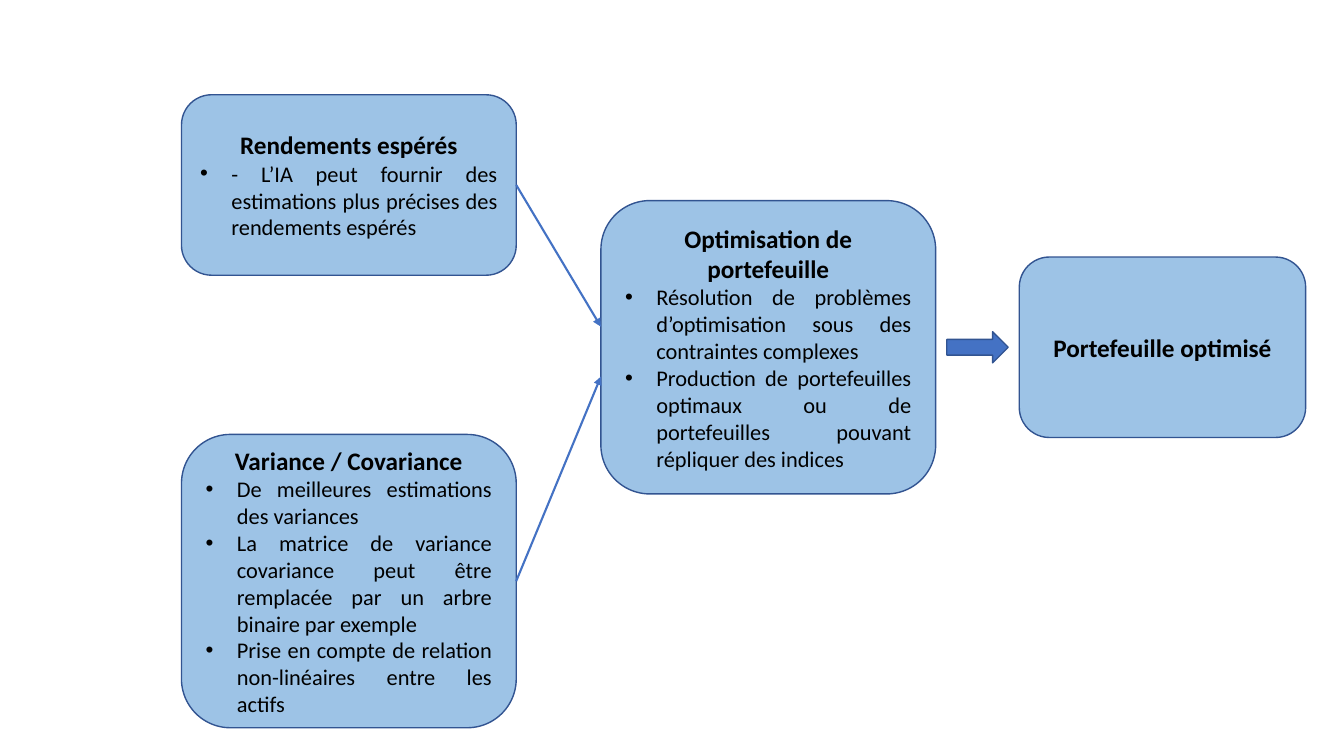
import pptx
import pptx.util
import pptx.dml.color
import pptx.enum.shapes
import pptx.enum.text
import pptx.oxml.ns
import lxml.etree

COLORS = {"box": "9DC3E6", "outline": "325491", "arrow": "4472C4", "text": "000000"}
FONT = "Calibri"
BULLET_INDENT = 0.31
WIDE, SHORT, TALL = 3.32, 1.79, 2.91
INPUT_LEFT = 1.8

RETURNS = (INPUT_LEFT, 0.94, WIDE, SHORT)
VARIANCE = (INPUT_LEFT, 4.31, WIDE, TALL)
OPTIMISATION = (5.96, 1.99, WIDE, TALL)
RESULT = (10.11, 2.55, 2.84, SHORT)

STEPS = [
    (RETURNS, "Rendements espérés", [
        "- L’IA peut fournir des estimations plus précises des rendements espérés"]),
    (VARIANCE, "Variance / Covariance", [
        "De meilleures estimations des variances",
        "La matrice de variance covariance peut être remplacée par un arbre binaire par exemple",
        "Prise en compte de relation non-linéaires entre les actifs"]),
    (RESULT, "Portefeuille optimisé", []),
    (OPTIMISATION, "Optimisation de portefeuille", [
        "Résolution de problèmes d’optimisation sous des contraintes complexes",
        "Production de portefeuilles optimaux ou de portefeuilles pouvant répliquer des indices"]),
]


def rgb(name):
    return pptx.dml.color.RGBColor.from_string(COLORS[name])


def inches(*lengths):
    return [pptx.util.Inches(v) for v in lengths]


def sub(parent, tag, **attrs):
    return lxml.etree.SubElement(parent, pptx.oxml.ns.qn(tag), **attrs)


def write(p, text, size, bold=False, bullet=False):
    align = pptx.enum.text.PP_ALIGN
    p.alignment = align.JUSTIFY if bullet else align.CENTER
    if bullet:
        pPr = p._p.get_or_add_pPr()
        indent = pptx.util.Inches(BULLET_INDENT)
        pPr.set("marL", str(indent))
        pPr.set("indent", str(-indent))
        sub(pPr, "a:buFont", typeface="Arial")
        sub(pPr, "a:buChar", char="•")
    r = p.add_run()
    r.text = text
    r.font.name = FONT
    r.font.size = pptx.util.Pt(size)
    r.font.bold = bold
    r.font.color.rgb = rgb("text")


def add_outlined(s, kind, box, fill):
    sp = s.shapes.add_shape(kind, *inches(*box))
    sp.shadow.inherit = False
    sp.fill.solid()
    sp.fill.fore_color.rgb = rgb(fill)
    sp.line.color.rgb = rgb("outline")
    sp.line.width = pptx.util.Pt(1)
    return sp


def add_step(s, box, title, points):
    sp = add_outlined(s, pptx.enum.shapes.MSO_SHAPE.ROUNDED_RECTANGLE, box, "box")
    tf = sp.text_frame
    tf.word_wrap = True
    tf.vertical_anchor = pptx.enum.text.MSO_ANCHOR.MIDDLE
    write(tf.paragraphs[0], title, 18, bold=True)
    for point in points:
        write(tf.add_paragraph(), point, 16, bullet=True)


def add_link(s, source, target, share):
    """Join the middle of source's right side to a share of target's left side."""
    left, top, width, height = source
    ends = inches(left + width, top + height / 2,
                  target[0], target[1] + share * target[3])
    cn = s.shapes.add_connector(pptx.enum.shapes.MSO_CONNECTOR.STRAIGHT, *ends)
    cn.line.color.rgb = rgb("arrow")
    cn.line.width = pptx.util.Pt(1.5)
    sub(cn.line._get_or_add_ln(), "a:tailEnd", type="triangle")
    sub(cn._element.spPr, "a:effectLst")


def add_block_arrow(s, source, target, width=0.61, height=0.31):
    """Centre a block arrow in the gap between two boxes."""
    centre = (source[0] + source[2] + target[0]) / 2
    middle = target[1] + target[3] / 2
    box = (centre - width / 2, middle - height / 2, width, height)
    add_outlined(s, pptx.enum.shapes.MSO_SHAPE.RIGHT_ARROW, box, "arrow")


def main():
    prs = pptx.Presentation()
    prs.slide_width, prs.slide_height = inches(13.33, 7.5)
    s = prs.slides.add_slide(prs.slide_layouts[6])
    for box, title, points in STEPS:
        add_step(s, box, title, points)
    add_link(s, RETURNS, OPTIMISATION, 0.43)
    add_link(s, VARIANCE, OPTIMISATION, 0.6)
    add_block_arrow(s, OPTIMISATION, RESULT)
    prs.save("out.pptx")


if __name__ == "__main__":
    main()
